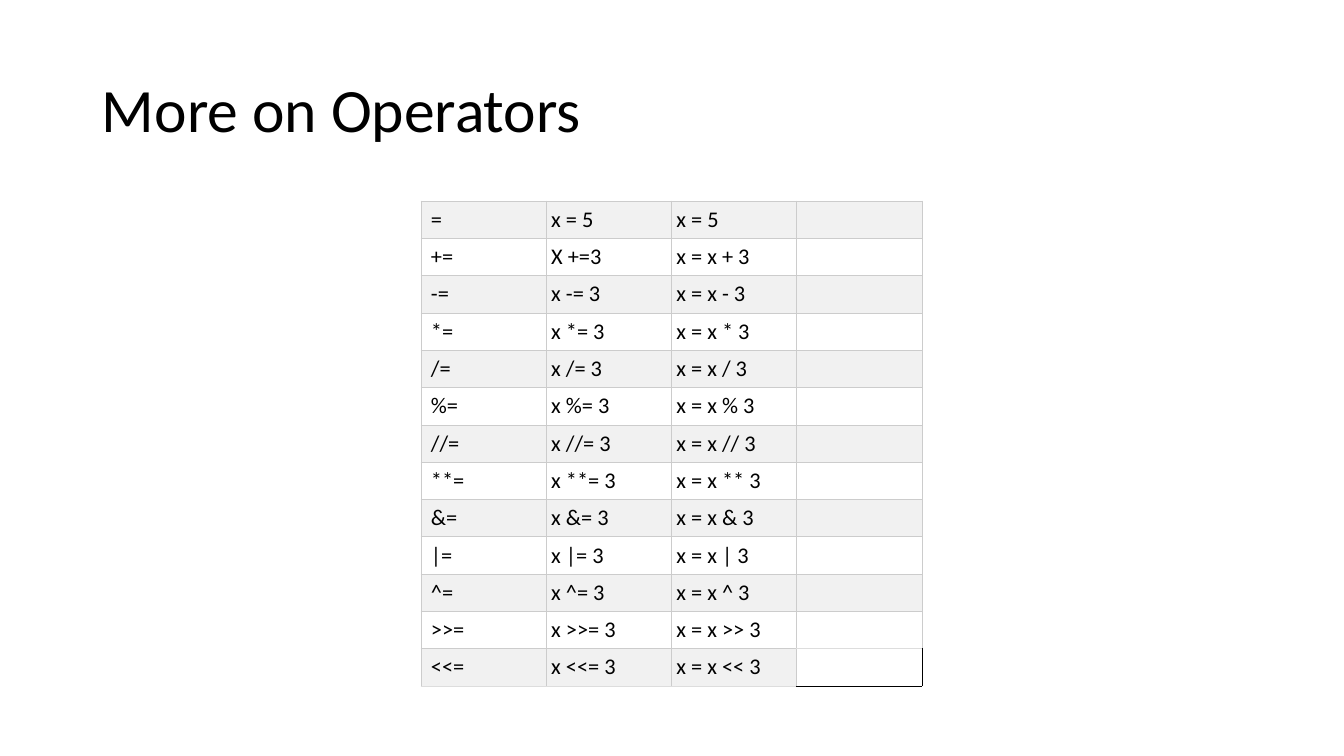
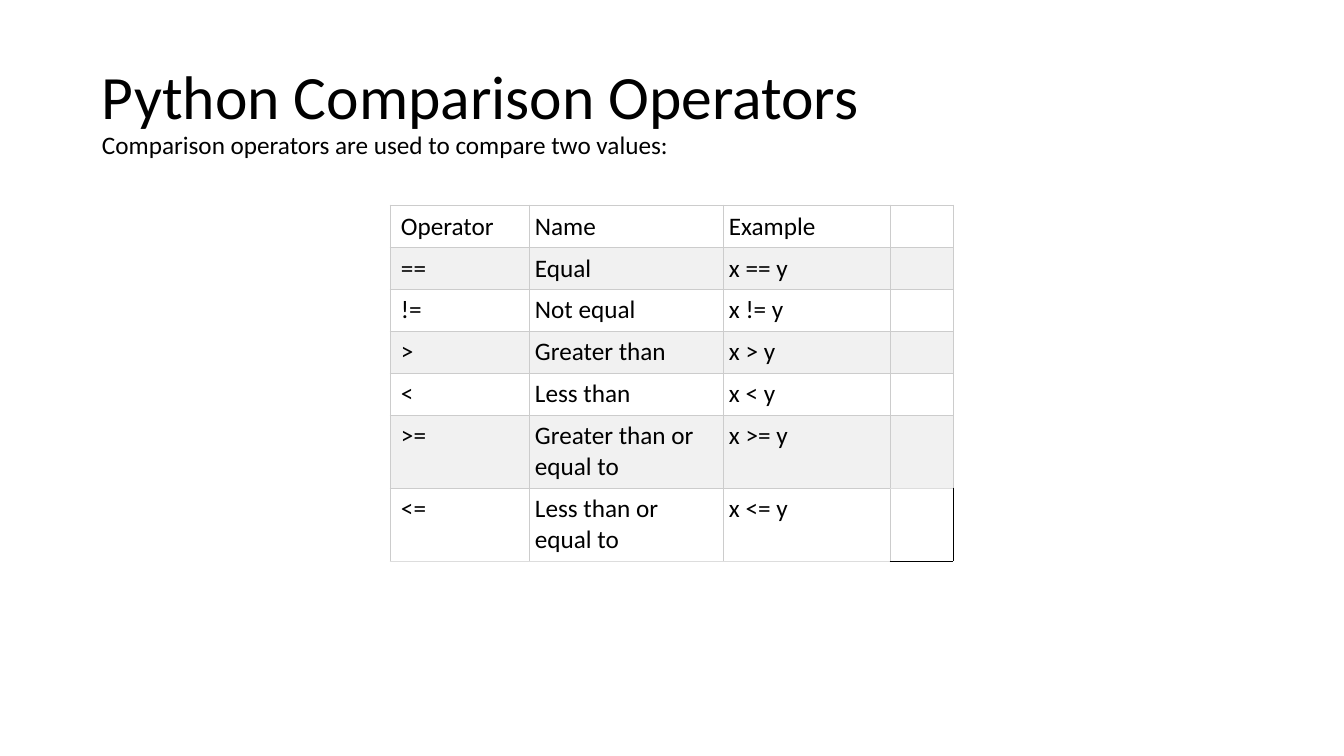
from lxml.etree import SubElement
from pptx import Presentation
from pptx.dml.color import RGBColor
from pptx.enum.text import MSO_ANCHOR
from pptx.oxml.ns import qn
from pptx.util import Emu, Pt

FONT = "Calibri"
BLACK, WHITE, STRIPE = "000000", "FFFFFF", "F1F1F1"
GRID, LAST_EDGE = "CCCCCC", "DDDDDD"
TITLE_SIZE, SUBTITLE_SIZE = 44, 18
TITLE_BOX = (92, 40, 1159, 146)
SLIDE_SIZE = (1344, 756)
EMU_PER_PIXEL = 914400 / 100.8

SLIDES = [
    {
        "title": [("More on Operators", TITLE_SIZE)],
        "rows": [
            ("=", "x = 5", "x = 5", ""),
            ("+=", "X +=3", "x = x + 3", ""),
            ("-=", "x -= 3", "x = x - 3", ""),
            ("*=", "x *= 3", "x = x * 3", ""),
            ("/=", "x /= 3", "x = x / 3", ""),
            ("%=", "x %= 3", "x = x % 3", ""),
            ("//=", "x //= 3", "x = x // 3", ""),
            ("**=", "x **= 3", "x = x ** 3", ""),
            ("&=", "x &= 3", "x = x & 3", ""),
            ("|=", "x |= 3", "x = x | 3", ""),
            ("^=", "x ^= 3", "x = x ^ 3", ""),
            (">>=", "x >>= 3", "x = x >> 3", ""),
            ("<<=", "x <<= 3", "x = x << 3", ""),
        ],
        "corner": (421, 201),
        "widths": [125.25] * 4,
        "heights": [37.33] * 13,
        "size": 16,
        "margins": (10, 5, 5, 5),
        "first_striped": 0,
    },
    {
        "title": [
            ("Python Comparison Operators", TITLE_SIZE),
            ("Comparison operators are used to compare two values:", SUBTITLE_SIZE),
        ],
        "rows": [
            ("Operator", "Name", "Example", ""),
            ("==", "Equal", "x == y", ""),
            ("!=", "Not equal", "x != y", ""),
            (">", "Greater than", "x > y", ""),
            ("<", "Less than", "x < y", ""),
            (">=", "Greater than or equal to", "x >= y", ""),
            ("<=", "Less than or equal to", "x <= y", ""),
        ],
        "corner": (390, 205),
        "widths": [139, 194, 167, 63],
        "heights": [42] * 5 + [73] * 2,
        "size": 18,
        "margins": (11, 6, 6, 5),
        "first_striped": 1,
    },
]


def px(length):
    """Turn pixels into EMU."""
    return Emu(round(length * EMU_PER_PIXEL))


def color(value):
    """Turn a hex string into a colour."""
    return RGBColor.from_string(value)


def write_text(frame, lines, fill=BLACK, spacing=None, anchor=MSO_ANCHOR.TOP,
               margins=(10, 5, 10, 5)):
    """Write (text, size) lines, separated by line breaks, in one paragraph."""
    frame.word_wrap = True
    frame.vertical_anchor = anchor
    (frame.margin_left, frame.margin_top,
     frame.margin_right, frame.margin_bottom) = map(px, margins)
    paragraph = frame.paragraphs[0]
    paragraph.line_spacing = spacing
    for index, (text, size) in enumerate(lines):
        if index:
            paragraph.add_line_break()
        run = paragraph.add_run()
        run.text = text
        run.font.name = FONT
        run.font.size = Pt(size)
        run.font.color.rgb = color(fill)


def set_borders(cell, left, right, top, bottom):
    """Draw the four cell edges in the given colours."""
    properties = cell._tc.get_or_add_tcPr()
    edges = {"a:lnL": left, "a:lnR": right, "a:lnT": top, "a:lnB": bottom}
    for index, (tag, edge) in enumerate(edges.items()):
        line = SubElement(properties, qn(tag), w=str(Pt(0.5)))
        solid = SubElement(line, qn("a:solidFill"))
        SubElement(solid, qn("a:srgbClr"), val=edge)
        properties.remove(line)
        properties.insert(index, line)


def add_title(slide, lines):
    """Add the title, with any smaller line below it."""
    box = slide.shapes.add_textbox(*map(px, TITLE_BOX))
    write_text(box.text_frame, lines, spacing=0.9, anchor=MSO_ANCHOR.MIDDLE)


def fill_cell(cell, text, content, row, column):
    """Write and format one cell of the operator table."""
    last_row = row == len(content["rows"]) - 1
    last_column = column == len(content["widths"]) - 1
    above_last = last_column and row == len(content["rows"]) - 2
    left, top, right, bottom = content["margins"]
    margins = (left if column == 0 else right, top, right, bottom)
    if text:
        cell.text_frame.word_wrap = True
        write_text(cell.text_frame, [(text, content["size"])], margins=margins)
    else:
        cell.margin_top, cell.margin_bottom = px(top), px(bottom)
        cell.text_frame.paragraphs[0]._p.get_or_add_endParaRPr().set(
            "sz", str(content["size"] * 100))
    cell.margin_left, cell.margin_top, cell.margin_right, cell.margin_bottom = map(px, margins)
    cell.vertical_anchor = MSO_ANCHOR.TOP
    if last_row and last_column:
        cell.fill.background()
        set_borders(cell, GRID, BLACK, LAST_EDGE, BLACK)
        return
    cell.fill.solid()
    striped = row % 2 == content["first_striped"]
    cell.fill.fore_color.rgb = color(STRIPE if striped else WHITE)
    set_borders(cell, GRID, GRID, GRID, LAST_EDGE if last_row or above_last else GRID)


def add_operator_table(slide, content):
    """Add the table of operators."""
    rows, widths, heights = content["rows"], content["widths"], content["heights"]
    frame = slide.shapes.add_table(
        len(rows), len(widths), *map(px, (*content["corner"], sum(widths), sum(heights))))
    table = frame.table
    table.first_row = table.horz_banding = False
    for column, width in zip(table.columns, widths):
        column.width = px(width)
    for row, height in zip(table.rows, heights):
        row.height = px(height)
    for row, texts in enumerate(rows):
        for column, text in enumerate(texts):
            fill_cell(table.cell(row, column), text, content, row, column)


presentation = Presentation()
presentation.slide_width, presentation.slide_height = map(px, SLIDE_SIZE)
for content in SLIDES:
    slide = presentation.slides.add_slide(presentation.slide_layouts[6])
    add_title(slide, content["title"])
    add_operator_table(slide, content)
presentation.save("out.pptx")
